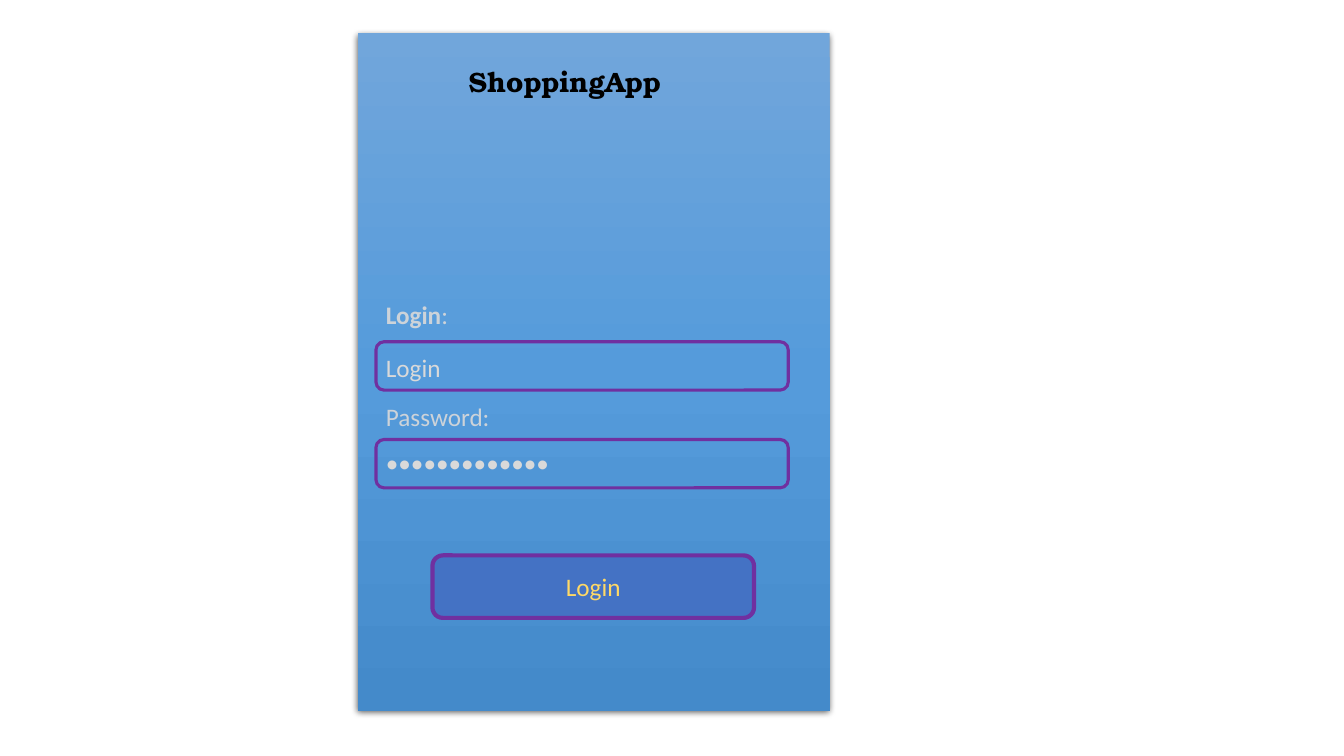
from copy import deepcopy
from pptx import Presentation
from pptx.dml.color import RGBColor
from pptx.enum.shapes import MSO_SHAPE as Shape
from pptx.enum.text import MSO_ANCHOR as Anchor, MSO_AUTO_SIZE as AutoSize, PP_ALIGN as Align
from pptx.oxml import parse_xml
from pptx.oxml.ns import nsdecls, qn
from pptx.util import Pt

BLACK = RGBColor(0x00, 0x00, 0x00)
LABEL_GREY = RGBColor(0xCD, 0xD3, 0xD9)
ENTRY_GREY = RGBColor(0xD9, 0xD9, 0xD9)
PURPLE = RGBColor(0x70, 0x30, 0xA0)
BUTTON_BLUE = RGBColor(0x44, 0x72, 0xC4)
YELLOW = RGBColor(0xFF, 0xD9, 0x66)
SKY = [
    (0, RGBColor(0x71, 0xA6, 0xDB)),
    (0.5, RGBColor(0x55, 0x9B, 0xDB)),
    (1, RGBColor(0x44, 0x8A, 0xCA)),
]

FIELD_LEFT = 268.56
ENTRY_WIDTH, ENTRY_HEIGHT = 294.48, 34.56
TEXT_HEIGHT = 28.8

PANEL = (255.6, 23.76, 336.96, 483.84)
BUTTON = (308.88, 396.72, 229.68, 44.64)
ENTRY_TOPS = [244.08, 313.92]

BODY = {"name": "Calibri", "size": Pt(18), "bold": False}
LABEL = {**BODY, "color": LABEL_GREY}
ENTRY = {**BODY, "color": ENTRY_GREY}
TITLE = {"name": "TeX Gyre Bonum", "size": Pt(20), "bold": True, "color": BLACK}

LABELS = [
    ((327.6, 42.48, 236.16, 31.68), [("ShoppingApp", TITLE)]),
    ((FIELD_LEFT, 210.24, 234.72, TEXT_HEIGHT), [("Login", {**LABEL, "bold": True}), (":", LABEL)]),
    ((FIELD_LEFT, 282.96, 241.2, TEXT_HEIGHT), [("Password:", LABEL)]),
]
ENTRIES = [
    ((FIELD_LEFT, 248.4, 279.36, TEXT_HEIGHT), [("Login", ENTRY)]),
    ((FIELD_LEFT, 316.08, 285.84, TEXT_HEIGHT), [("•" * 13, ENTRY)]),
]

SHADOW = f"""<a:effectLst {nsdecls('a')}>
<a:outerShdw blurRad="{Pt(4.5)}" dist="{Pt(1.5)}" dir="5400000" algn="ctr" rotWithShape="0">
<a:srgbClr val="000000"><a:alpha val="63000"/></a:srgbClr></a:outerShdw></a:effectLst>"""


def write(paragraph, runs):
    for words, style in runs:
        run = paragraph.add_run()
        run.text = words
        for key, value in style.items():
            if key == "color":
                run.font.color.rgb = value
            else:
                setattr(run.font, key, value)


def add_text(slide, box, runs):
    frame = slide.shapes.add_textbox(*map(Pt, box)).text_frame
    for key, value in {"word_wrap": True, "auto_size": AutoSize.SHAPE_TO_FIT_TEXT}.items():
        setattr(frame, key, value)
    write(frame.paragraphs[0], runs)


def add_rounded(slide, box, line_width, fill=None):
    rounded = slide.shapes.add_shape(Shape.ROUNDED_RECTANGLE, *map(Pt, box))
    rounded.shadow.inherit = False
    if fill is None:
        rounded.fill.background()
    else:
        rounded.fill.solid()
        rounded.fill.fore_color.rgb = fill
    rounded.line.color.rgb = PURPLE
    rounded.line.width = Pt(line_width)
    return rounded


def add_panel(slide):
    panel = slide.shapes.add_shape(Shape.RECTANGLE, *map(Pt, PANEL))
    panel.line.fill.background()
    panel.fill.gradient()
    panel.fill.gradient_angle = 270
    properties = panel.element.spPr
    stops = properties.find(qn("a:gradFill")).find(qn("a:gsLst"))
    stops.append(deepcopy(stops[-1]))
    for stop, (position, color) in zip(panel.fill.gradient_stops, SKY):
        stop.position = position
        stop.color.rgb = color
    properties.append(parse_xml(SHADOW))


def add_button(slide):
    frame = add_rounded(slide, BUTTON, 3, BUTTON_BLUE).text_frame
    frame.vertical_anchor = Anchor.MIDDLE
    caption = frame.paragraphs[0]
    caption.alignment = Align.CENTER
    write(caption, [("Login", {**BODY, "color": YELLOW})])


def main():
    deck = Presentation()
    deck.slide_width, deck.slide_height = Pt(960), Pt(540)
    slide = deck.slides.add_slide(deck.slide_layouts[6])
    add_panel(slide)
    for box, runs in LABELS:
        add_text(slide, box, runs)
    for top in ENTRY_TOPS:
        add_rounded(slide, (FIELD_LEFT, top, ENTRY_WIDTH, ENTRY_HEIGHT), 2.25)
    for box, runs in ENTRIES:
        add_text(slide, box, runs)
    add_button(slide)
    deck.save("out.pptx")


if __name__ == "__main__":
    main()
